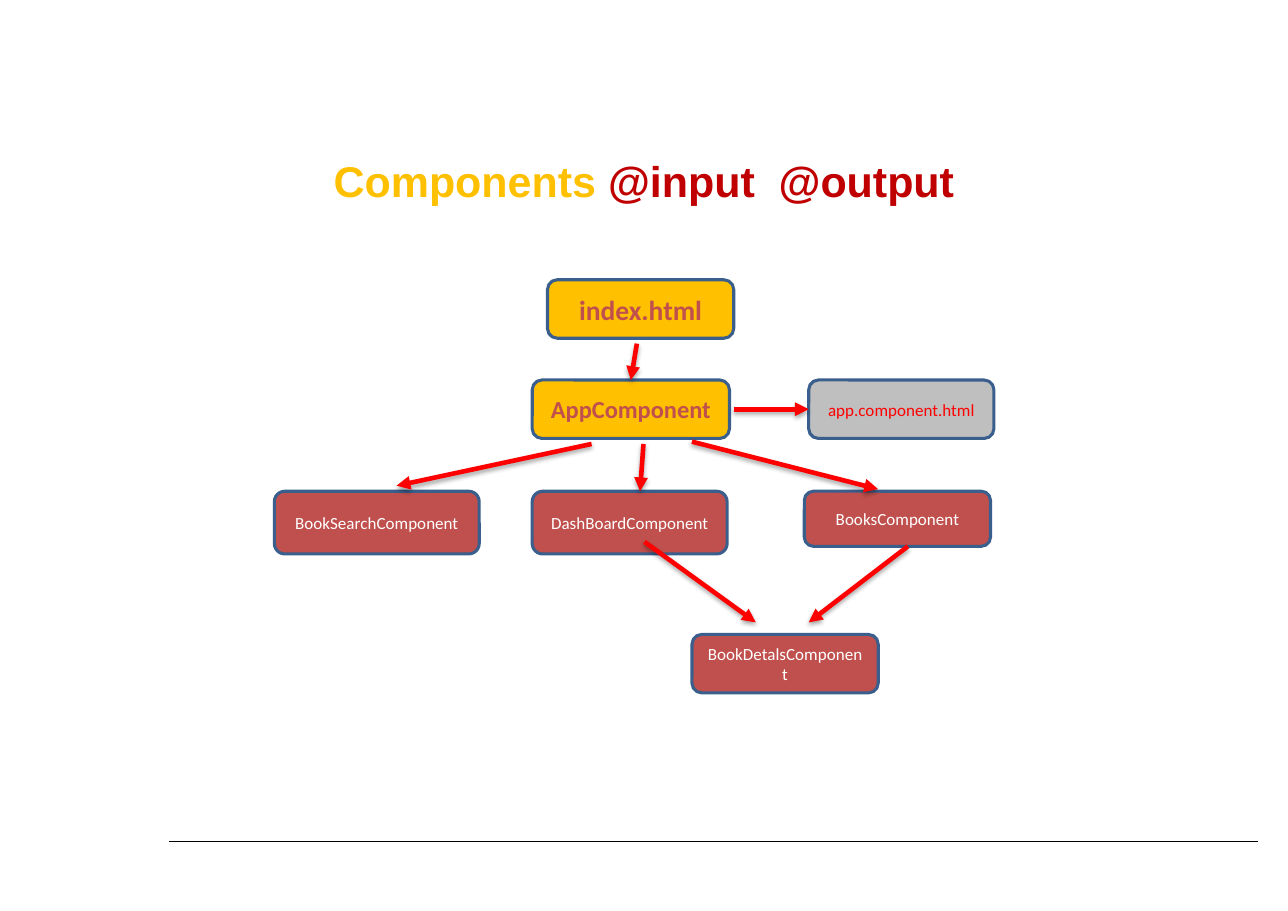
from dataclasses import dataclass

from lxml import etree
from pptx import Presentation
from pptx.dml.color import RGBColor
from pptx.enum.shapes import MSO_CONNECTOR, MSO_SHAPE
from pptx.enum.text import MSO_ANCHOR, MSO_AUTO_SIZE, PP_ALIGN
from pptx.oxml import parse_xml
from pptx.oxml.ns import nsdecls, qn
from pptx.shapes.autoshape import Shape
from pptx.shapes.connector import Connector
from pptx.slide import Slide
from pptx.util import Pt

STRAIGHT = MSO_CONNECTOR.STRAIGHT
ROUNDED = MSO_SHAPE.ROUNDED_RECTANGLE
CENTER = PP_ALIGN.CENTER
MIDDLE = MSO_ANCHOR.MIDDLE
NO_AUTOFIT = MSO_AUTO_SIZE.NONE
TOP_SIDE, LEFT_SIDE = 0, 1
TITLE_LAYOUT = 5


@dataclass(frozen=True)
class Theme:
    gold: str = "FFC000"
    crimson: str = "C00000"
    brick: str = "C0504D"
    silver: str = "BFBFBF"
    border: str = "3A5F8C"
    red: str = "FF0000"
    white: str = "FFFFFF"
    black: str = "000000"
    title_font: str = "Arial"
    box_font: str = "Calibri"
    title_size: float = 28.1
    page_size: float = 18
    root_size: float = 16
    child_size: float = 11.1
    border_width: float = 2
    arrow_width: float = 3
    rule_width: float = 0.94


THEME = Theme()


@dataclass(frozen=True)
class Style:
    fill: str
    color: str
    size: float = THEME.child_size
    bold: bool = False


@dataclass(frozen=True)
class Box:
    text: str
    left: float
    top: float
    width: float
    height: float
    style: Style


@dataclass(frozen=True)
class Arrow:
    start: tuple[float, float]
    end: tuple[float, float]
    target: str = ""
    side: int = TOP_SIDE


PAGE = Style(THEME.gold, THEME.brick, THEME.page_size, True)
ROOT = Style(THEME.gold, THEME.brick, THEME.root_size, True)
TEMPLATE = Style(THEME.silver, THEME.red)
CHILD = Style(THEME.brick, THEME.white)

ROOT_TOP = 248.4
CHILD_TOP = 321.1
BOX_HEIGHT = 38.2
ROOT_MIDDLE = ROOT_TOP + BOX_HEIGHT / 2

BOXES = [
    Box("index.html", 357.8, 182.9, 121.7, BOX_HEIGHT, PAGE),
    Box("AppComponent", 347.8, ROOT_TOP, 128.9, BOX_HEIGHT, ROOT),
    Box("app.component.html", 528.5, ROOT_TOP, 121, BOX_HEIGHT, TEMPLATE),
    Box("BookSearchComponent", 179.3, CHILD_TOP, 133.9, 41, CHILD),
    Box("DashBoardComponent", 347.8, CHILD_TOP, 127.4, 41, CHILD),
    Box("BooksComponent", 525.6, CHILD_TOP, 121.7, 36, CHILD),
    Box("BookDetalsComponent", 452.2, 414.7, 121.7, BOX_HEIGHT, CHILD),
]

ARROWS = [
    Arrow((416.2, 224.6), (412.3, ROOT_TOP), "AppComponent"),
    Arrow((479.5, ROOT_MIDDLE), (528.5, ROOT_MIDDLE), "app.component.html", LEFT_SIDE),
    Arrow((386.6, 290.2), (259.2, 317.5)),
    Arrow((420.5, 290.2), (418.3, CHILD_TOP)),
    Arrow((452.2, 288.7), (573.8, 319.7)),
    Arrow((421.2, 354.2), (493.9, 406.8)),
    Arrow((593.3, 357.1), (528.5, 406.8)),
]


def add_line(s: Slide, start: tuple[float, float], end: tuple[float, float],
             color: str, width: float) -> Connector:
    line = s.shapes.add_connector(STRAIGHT, *map(Pt, start + end))
    line.line.color.rgb = RGBColor.from_string(color)
    line.line.width = Pt(width)
    etree.SubElement(line._element.spPr, qn("a:effectLst"))
    return line


def add_arrow(s: Slide, arrow: Arrow, shapes: dict[str, Shape]) -> None:
    line = add_line(s, arrow.start, arrow.end, THEME.red, THEME.arrow_width)
    if arrow.target:
        line.end_connect(shapes[arrow.target], arrow.side)
    spPr = line._element.spPr
    etree.SubElement(spPr.find(qn("a:ln")), qn("a:tailEnd"), type="triangle")
    spPr.find(qn("a:effectLst")).append(parse_xml(
        f'<a:outerShdw {nsdecls("a")} blurRad="{Pt(3.1)}" dist="{Pt(1.8)}" '
        f'dir="5400000" rotWithShape="0"><a:srgbClr val="{THEME.black}">'
        '<a:alpha val="35000"/></a:srgbClr></a:outerShdw>'))


def add_box(s: Slide, box: Box) -> Shape:
    sp = s.shapes.add_shape(ROUNDED, Pt(box.left), Pt(box.top), Pt(box.width), Pt(box.height))
    sp.shadow.inherit = False
    sp.fill.solid()
    sp.fill.fore_color.rgb = RGBColor.from_string(box.style.fill)
    sp.line.color.rgb = RGBColor.from_string(THEME.border)
    sp.line.width = Pt(THEME.border_width)
    tf = sp.text_frame
    tf.word_wrap = True
    tf.vertical_anchor = MIDDLE
    p = tf.paragraphs[0]
    p.text = box.text
    p.alignment = CENTER
    p.font.name = THEME.box_font
    p.font.size = Pt(box.style.size)
    p.font.bold = box.style.bold
    p.font.color.rgb = RGBColor.from_string(box.style.color)
    return sp


def set_title(s: Slide) -> None:
    sp = s.shapes.title
    sp.left, sp.top, sp.width, sp.height = Pt(151.2), Pt(65), Pt(539.3), Pt(105.1)
    tf = sp.text_frame
    tf.auto_size = NO_AUTOFIT
    tf.word_wrap = True
    tf.vertical_anchor = MIDDLE
    p = tf.paragraphs[0]
    p.alignment = CENTER
    p.font.name = THEME.title_font
    p.font.size = Pt(THEME.title_size)
    p.font.bold = True
    for text, color in (("Components ", THEME.gold), ("@input  @output", THEME.crimson)):
        r = p.add_run()
        r.text = text
        r.font.color.rgb = RGBColor.from_string(color)


def main() -> None:
    prs = Presentation()
    prs.slide_width, prs.slide_height = Pt(841.68), Pt(595.44)
    s = prs.slides.add_slide(prs.slide_layouts[TITLE_LAYOUT])
    add_line(s, (110.2, 550.1), (822.2, 550.1), THEME.black, THEME.rule_width)
    set_title(s)
    shapes = {box.text: add_box(s, box) for box in BOXES}
    for arrow in ARROWS:
        add_arrow(s, arrow, shapes)
    prs.save("out.pptx")


if __name__ == "__main__":
    main()
